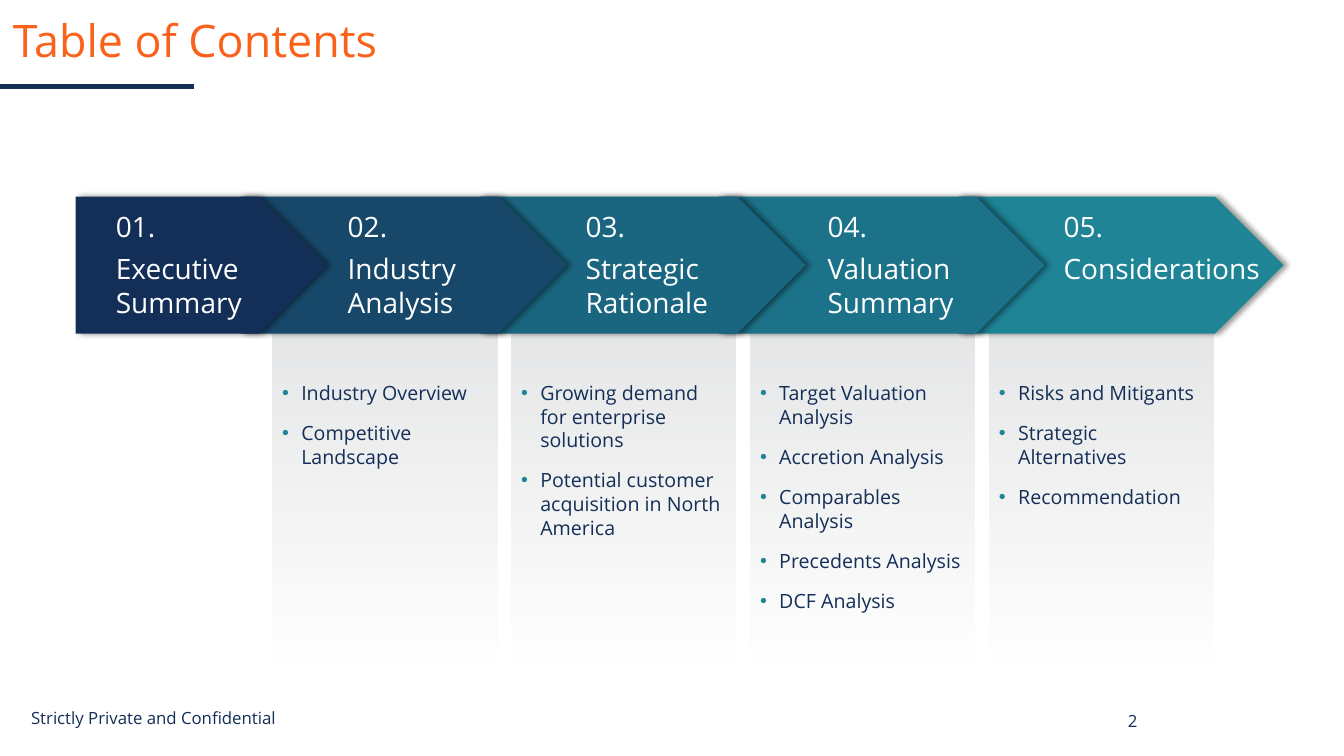
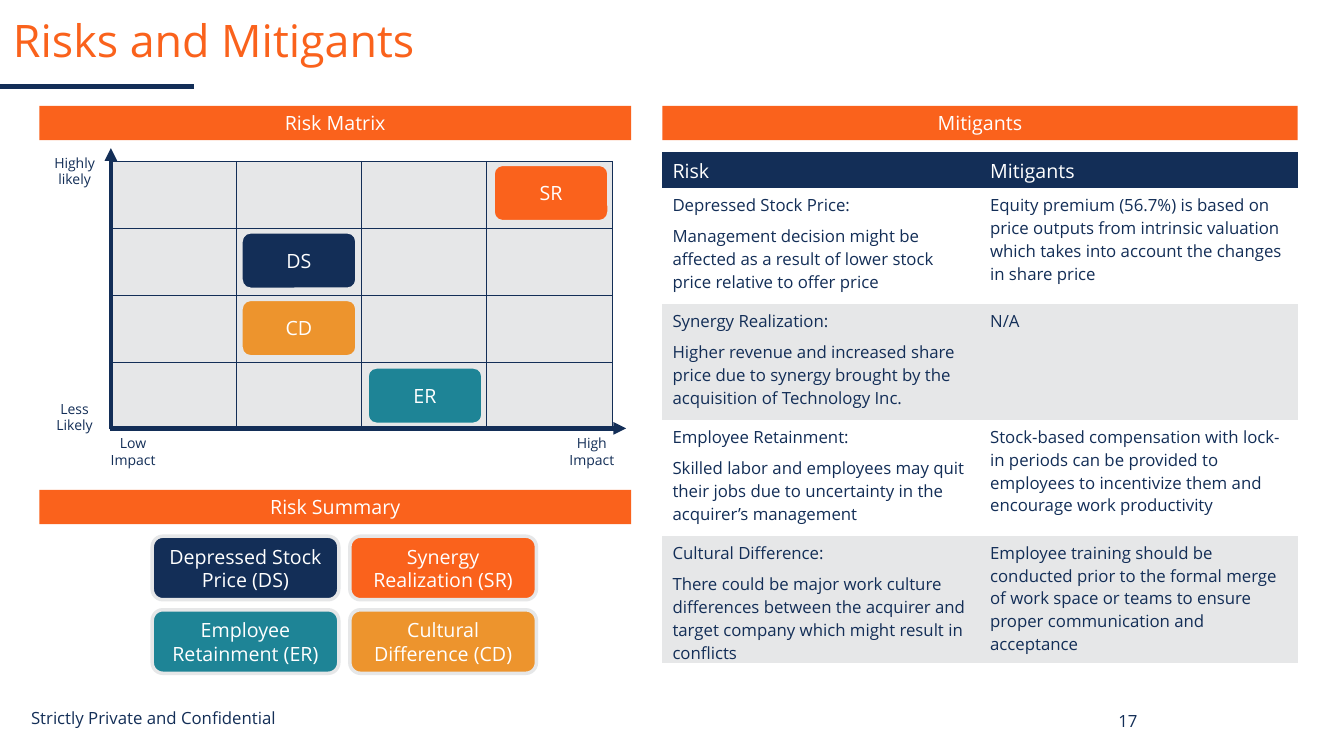
import pptx
import pptx.util
import pptx.dml.color
import pptx.enum.shapes
import pptx.enum.text
import pptx.oxml
import pptx.oxml.ns
import lxml.etree

Inches = pptx.util.Inches
Pt = pptx.util.Pt
RGBColor = pptx.dml.color.RGBColor
Shape = pptx.enum.shapes.MSO_SHAPE
Align = pptx.enum.text.PP_ALIGN
Anchor = pptx.enum.text.MSO_ANCHOR
qn = pptx.oxml.ns.qn

NAVY = RGBColor(0x13, 0x2E, 0x57)
ORANGE = RGBColor(0xFA, 0x62, 0x1C)
TEAL = RGBColor(0x1E, 0x84, 0x96)
AMBER = RGBColor(0xED, 0x94, 0x2D)
GREY = RGBColor(0xE6, 0xE7, 0xE8)
WHITE = RGBColor(0xFF, 0xFF, 0xFF)
STEP_COLORS = [
    NAVY,
    RGBColor(0x17, 0x48, 0x6A),
    RGBColor(0x1A, 0x66, 0x80),
    RGBColor(0x1C, 0x72, 0x89),
    TEAL,
]
FONT = "Open Sans"
NO_TABLE_STYLE = "{2D5ABB26-0587-4C30-8999-92F81FD0307C}"


def style_text(frame, text, size, color, align=Align.LEFT, anchor=Anchor.TOP, after=0):
    frame.text = text
    frame.word_wrap = True
    frame.vertical_anchor = anchor
    for para in frame.paragraphs:
        para.alignment = align
        para.space_after = Pt(after)
        for span in para.runs:
            span.font.name = FONT
            span.font.size = Pt(size)
            span.font.color.rgb = color


def add_block(page, kind, place, fill, text="", outline=None):
    block = page.shapes.add_shape(kind, *map(Inches, place))
    block.shadow.inherit = False
    block.fill.solid()
    block.fill.fore_color.rgb = fill
    if outline is None:
        block.line.fill.background()
    else:
        block.line.color.rgb = outline
        block.line.width = Pt(2.5)
    block.text_frame.margin_top = block.text_frame.margin_bottom = 0
    style_text(block.text_frame, text, 14, WHITE, Align.CENTER, Anchor.MIDDLE)
    return block


deck = pptx.Presentation()
deck.slide_width = Inches(13.33)
deck.slide_height = Inches(7.5)

pages = []
for title, number in [("Table of Contents", "2"), ("Risks and Mitigants", "17")]:
    page = deck.slides.add_slide(deck.slide_layouts[6])
    pages.append(page)
    for place, text, size, color, align in [
        ((0.03, 0.17, 11.5, 0.52), title, 32, ORANGE, Align.LEFT),
        ((0.21, 6.92, 4.5, 0.4), "Strictly Private and Confidential", 12, NAVY, Align.LEFT),
        ((9.42, 6.95, 1.96, 0.4), number, 12, NAVY, Align.RIGHT),
    ]:
        box = page.shapes.add_textbox(*map(Inches, place))
        style_text(box.text_frame, text, size, color, align, Anchor.MIDDLE)
        if text == title:
            box.text_frame.paragraphs[0].line_spacing = 0.9
contents, risks = pages

topics = [
    ["Industry Overview", "Competitive Landscape"],
    [
        "Growing demand for enterprise solutions",
        "Potential customer acquisition in North America",
    ],
    [
        "Target Valuation Analysis",
        "Accretion Analysis",
        "Comparables Analysis",
        "Precedents Analysis",
        "DCF Analysis",
    ],
    ["Risks and Mitigants", "Strategic Alternatives", "Recommendation"],
]
step_pitch = 2.37
for index, items in enumerate(topics):
    place = (2.7 + step_pitch * index, 3.3, 2.23, 3.27)
    panel = add_block(contents, Shape.RECTANGLE, place, GREY)
    panel.fill.gradient()
    panel.fill.gradient_angle = 270
    for stop in panel.fill.gradient_stops:
        stop.color.rgb = GREY
    last_color = panel._element.spPr.findall(".//" + qn("a:srgbClr"))[-1]
    lxml.etree.SubElement(last_color, qn("a:alpha"), val="0")
    panel.text_frame.margin_top = Inches(0.48)
    style_text(panel.text_frame, "\n".join(items), 14, NAVY, after=12)
    for para in panel.text_frame.paragraphs:
        properties = para._p.get_or_add_pPr()
        properties.set("marL", str(Inches(0.19)))
        properties.set("indent", str(-Inches(0.19)))
        bullet_color = lxml.etree.SubElement(properties, qn("a:buClr"))
        lxml.etree.SubElement(bullet_color, qn("a:srgbClr"), val=str(TEAL))
        lxml.etree.SubElement(properties, qn("a:buFont"), typeface="Arial")
        lxml.etree.SubElement(properties, qn("a:buChar"), char="•")

for index in reversed(range(len(STEP_COLORS))):
    place = (0.02 + step_pitch * index, 1.95, 3.23, 1.36) if index else (0.75, 1.95, 2.49, 1.36)
    step = add_block(contents, Shape.PENTAGON, place, STEP_COLORS[index])
    effects = step._element.spPr.find(qn("a:effectLst"))
    shadow = lxml.etree.SubElement(
        effects,
        qn("a:outerShdw"),
        blurRad=str(Pt(4)),
        dist=str(Pt(3)),
        dir="0",
        algn="l",
        rotWithShape="0",
    )
    shadow_color = lxml.etree.SubElement(shadow, qn("a:srgbClr"), val="000000")
    lxml.etree.SubElement(shadow_color, qn("a:alpha"), val="40000")

for left, width, heading in [
    (1.05, 2.05, "01.\nExecutive Summary"),
    (3.35, 2.05, "02.\nIndustry Analysis"),
    (5.71, 2.05, "03.\nStrategic Rationale"),
    (8.11, 2.25, "04.\nValuation Summary"),
    (10.45, 2.25, "05.\nConsiderations"),
]:
    box = contents.shapes.add_textbox(Inches(left), Inches(2.03), Inches(width), Inches(1.19))
    style_text(box.text_frame, heading, 20, WHITE, after=6)

for place, heading in [
    ((0.39, 1.05, 5.87, 0.34), "Risk Matrix"),
    ((0.39, 4.86, 5.87, 0.34), "Risk Summary"),
    ((6.57, 1.05, 6.3, 0.34), "Mitigants"),
]:
    add_block(risks, Shape.RECTANGLE, place, ORANGE, heading)

matrix_place = map(Inches, (1.1, 1.6, 4.97, 2.66))
matrix = risks.shapes.add_table(4, 4, *matrix_place).table
matrix._tbl.tblPr.find(qn("a:tableStyleId")).text = NO_TABLE_STYLE
for cell in matrix.iter_cells():
    cell.fill.solid()
    cell.fill.fore_color.rgb = GREY
    properties = cell._tc.get_or_add_tcPr()
    for position, side in enumerate(["a:lnL", "a:lnR", "a:lnT", "a:lnB"]):
        border = properties.makeelement(qn(side), {"w": str(Pt(0.5))})
        border_fill = lxml.etree.SubElement(border, qn("a:solidFill"))
        lxml.etree.SubElement(border_fill, qn("a:srgbClr"), val=str(NAVY))
        properties.insert(position, border)

for left, top, label in [
    (0.39, 1.48, "Highly likely"),
    (0.39, 3.92, "Less Likely"),
    (0.97, 4.26, "Low Impact"),
    (5.52, 4.26, "High Impact"),
]:
    box = risks.shapes.add_textbox(Inches(left), Inches(top), Inches(0.7), Inches(0.44))
    style_text(box.text_frame, label, 10, NAVY, Align.CENTER)

for index, (name, code, color, column, row) in enumerate([
    ("Depressed Stock Price (DS)", "DS", NAVY, 1, 1),
    ("Synergy Realization (SR)", "SR", ORANGE, 3, 0),
    ("Employee Retainment (ER)", "ER", TEAL, 2, 3),
    ("Cultural Difference (CD)", "CD", AMBER, 1, 2),
]):
    summary_place = (1.51 + 1.96 * (index % 2), 5.32 + 0.73 * (index // 2), 1.85, 0.63)
    marker_place = (1.14 + 1.25 * column, 1.63 + 0.67 * row, 1.15, 0.57)
    add_block(risks, Shape.ROUNDED_RECTANGLE, summary_place, color, name, GREY)
    add_block(risks, Shape.ROUNDED_RECTANGLE, marker_place, color, code, GREY)

mitigant_rows = [
    ("Risk", "Mitigants"),
    (
        "Depressed Stock Price:\nManagement decision might be affected as a result of "
        "lower stock price relative to offer price",
        "Equity premium (56.7%) is based on price outputs from intrinsic valuation "
        "which takes into account the changes in share price",
    ),
    (
        "Synergy Realization:\nHigher revenue and increased share price due to synergy "
        "brought by the acquisition of Technology Inc.",
        "N/A",
    ),
    (
        "Employee Retainment:\nSkilled labor and employees may quit their jobs due to "
        "uncertainty in the acquirer’s management",
        "Stock-based compensation with lock-in periods can be provided to employees to "
        "incentivize them and encourage work productivity",
    ),
    (
        "Cultural Difference:\nThere could be major work culture differences between the "
        "acquirer and target company which might result in conflicts",
        "Employee training should be conducted prior to the formal merge of work space "
        "or teams to ensure proper communication and acceptance",
    ),
]
mitigants_place = map(Inches, (6.57, 1.51, 6.3, 5.07))
mitigants = risks.shapes.add_table(len(mitigant_rows), 2, *mitigants_place).table
mitigants._tbl.tblPr.find(qn("a:tableStyleId")).text = NO_TABLE_STYLE
row_heights = [0.36, 1.15, 1.15, 1.15, 1.26]
row_fills = [NAVY, WHITE, GREY, WHITE, GREY]
for index, texts in enumerate(mitigant_rows):
    mitigants.rows[index].height = Inches(row_heights[index])
    size, color = (12, NAVY) if index else (14, WHITE)
    for column, text in enumerate(texts):
        cell = mitigants.cell(index, column)
        cell.fill.solid()
        cell.fill.fore_color.rgb = row_fills[index]
        cell.margin_bottom = 0
        style_text(cell.text_frame, text, size, color, after=6)
        cell.text_frame.paragraphs[-1].space_after = Pt(0)

for page, ends, width, has_arrow in [
    (contents, (0, 0.86, 1.92, 0.86), 3.5, False),
    (risks, (0, 0.86, 1.92, 0.86), 3.5, False),
    (risks, (1.1, 4.26, 1.1, 1.47), 3, True),
    (risks, (1.09, 4.25, 6.21, 4.25), 3, True),
]:
    line = page.shapes.add_connector(pptx.enum.shapes.MSO_CONNECTOR.STRAIGHT, *map(Inches, ends))
    line.line.color.rgb = NAVY
    line.line.width = Pt(width)
    if has_arrow:
        lxml.etree.SubElement(line.line._get_or_add_ln(), qn("a:tailEnd"), type="triangle")
    lxml.etree.SubElement(line._element.spPr, qn("a:effectLst"))

deck.save("out.pptx")
